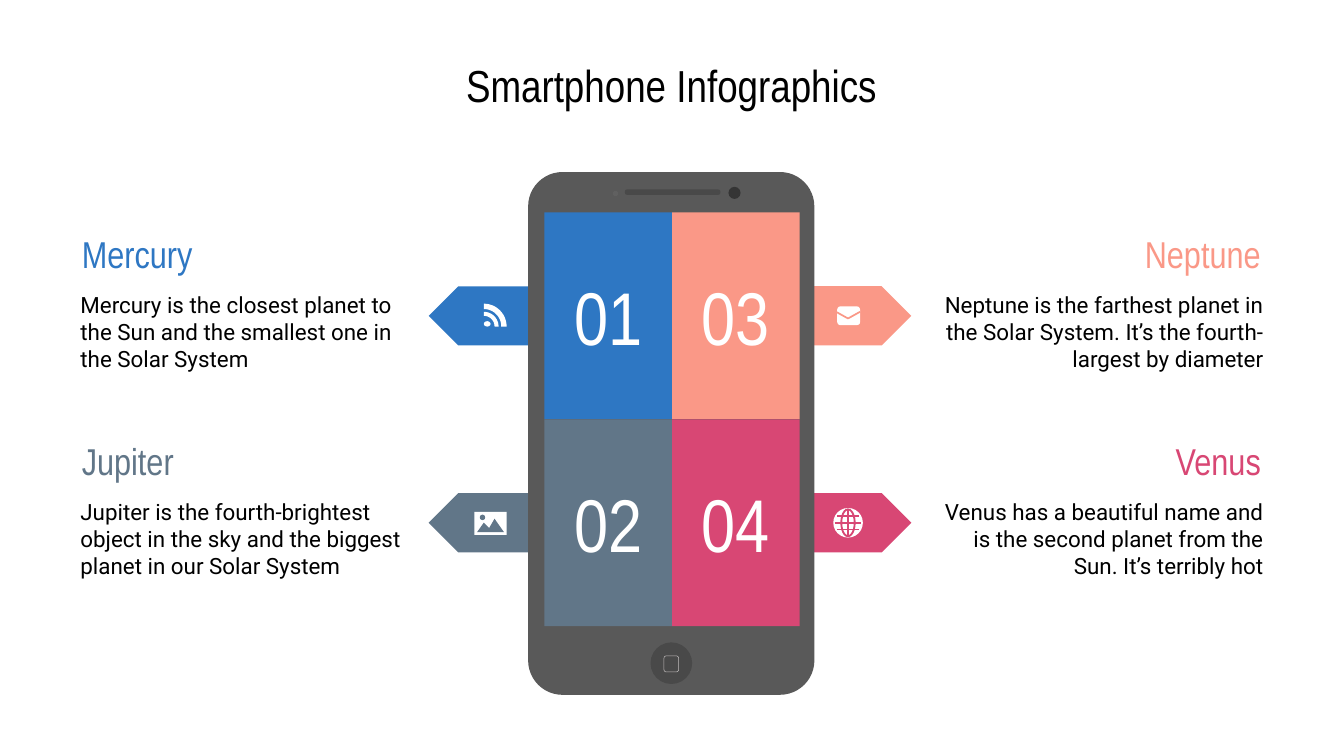
from math import cos, sin, pi
from lxml.etree import SubElement
from pptx import Presentation
from pptx.dml.color import RGBColor
from pptx.enum.shapes import MSO_CONNECTOR as Line, MSO_SHAPE as Form
from pptx.enum.text import MSO_ANCHOR as Anchor, MSO_AUTO_SIZE as Auto, PP_ALIGN as Align
from pptx.oxml.ns import qn
from pptx.util import Inches, Pt

INK = {
    "blue": "2E77C3", "slate": "617688", "peach": "FA9887", "pink": "D84774",
    "white": "FFFFFF", "black": "000000", "case": "595959", "dark": "494949",
    "lens": "353535", "light": "606060", "rim": "C1BDBD",
}
HEAD = "Arial Narrow"
BODY = "Roboto"


def color(name):
    return RGBColor.from_string(INK[name])


def paint(item, fill):
    item.shadow.inherit = False
    item.fill.solid()
    item.fill.fore_color.rgb = color(fill)
    item.line.fill.background()
    return item


def form(slide, kind, x, y, w, h, fill):
    box = [Inches(v) for v in (x, y, w, h)]
    return paint(slide.shapes.add_shape(kind, *box), fill)


def shape(slide, spots, fill):
    spots = [(Inches(x), Inches(y)) for x, y in spots]
    pen = slide.shapes.build_freeform(*spots[0], scale=1.0)
    pen.add_line_segments(spots[1:], close=True)
    return paint(pen.convert_to_shape(), fill)


def stroke(slide, x1, y1, x2, y2, ink, width):
    ends = [Inches(v) for v in (x1, y1, x2, y2)]
    line = slide.shapes.add_connector(Line.STRAIGHT, *ends)
    line.line.color.rgb = color(ink)
    line.line.width = Pt(width)
    SubElement(line._element.spPr, qn("a:effectLst"))


def write(item, text, size, font, ink, align, anchor=Anchor.MIDDLE):
    frame = item.text_frame
    frame.word_wrap = True
    frame.auto_size = Auto.NONE
    frame.vertical_anchor = anchor
    frame.margin_left = frame.margin_right = Inches(0.1)
    frame.margin_top = frame.margin_bottom = Inches(0.1)
    para = frame.paragraphs[0]
    para.alignment = align
    run = para.add_run()
    run.text = text
    run.font.size = Pt(size)
    run.font.name = font
    run.font.color.rgb = color(ink)


def label(slide, x, y, w, h, *style):
    box = [Inches(v) for v in (x, y, w, h)]
    write(slide.shapes.add_textbox(*box), *style)


def feed(slide, x, y, ink):
    left, base = x - 0.05, y + 0.08
    turns = [pi / 2 * n / 12 for n in range(13)]
    for far, near in ((0.17, 0.13), (0.11, 0.08)):
        outer = [(left + far * cos(t), base - far * sin(t)) for t in turns]
        inner = [(left + near * cos(t), base - near * sin(t)) for t in turns]
        shape(slide, outer + inner[::-1], "white")
    form(slide, Form.OVAL, left, base - 0.04, 0.05, 0.04, "white")


def photo(slide, x, y, ink):
    left, top = x - 0.12, y - 0.08
    form(slide, Form.RECTANGLE, left, top, 0.24, 0.17, "white")
    form(slide, Form.OVAL, left + 0.04, top + 0.02, 0.04, 0.04, ink)
    hills = [(0.02, 0.15), (0.07, 0.08), (0.11, 0.12), (0.15, 0.05), (0.22, 0.15)]
    shape(slide, [(left + a, top + b) for a, b in hills], ink)


def mail(slide, x, y, ink):
    form(slide, Form.ROUNDED_RECTANGLE, x - 0.08, y - 0.07, 0.17, 0.14, "white")
    for side in (-0.09, 0.09):
        stroke(slide, x + side, y - 0.03, x, y + 0.02, ink, 0.9)


def globe(slide, x, y, ink):
    form(slide, Form.OVAL, x - 0.11, y - 0.11, 0.22, 0.22, "white")
    ring = form(slide, Form.OVAL, x - 0.05, y - 0.1, 0.1, 0.2, "white")
    ring.line.color.rgb = color(ink)
    ring.line.width = Pt(1)
    stroke(slide, x, y - 0.1, x, y + 0.1, ink, 1)
    for gap, half in ((-0.05, 0.08), (0, 0.1), (0.05, 0.08)):
        stroke(slide, x - half, y + gap, x + half, y + gap, ink, 1)


def panel(slide, x, y, right, head, text, ink, icon):
    tag_x = x if right else x + 2.69
    tag = form(slide, Form.PENTAGON, tag_x, y + 0.2, 0.89, 0.44, ink)
    tag.rotation = 0 if right else 180
    icon(slide, tag_x + (0.42 if right else 0.46), y + 0.42, ink)
    align = Align.RIGHT if right else Align.LEFT
    text_x = x + 0.92 if right else x
    head_x = x + 1.77 if right else x + 0.01
    label(slide, text_x, y + 0.24, 2.69, 0.6, text, 12, BODY, "black", align)
    label(slide, head_x, y, 1.82, 0.22, head, 20, HEAD, ink, align, Anchor.BOTTOM)


def phone(slide, x, y, inks):
    case = form(slide, Form.ROUNDED_RECTANGLE, x, y, 2.13, 3.89, "case")
    case.adjustments[0] = 0.12
    slot = form(slide, Form.ROUNDED_RECTANGLE, x + 0.72, y + 0.13, 0.71, 0.04, "dark")
    slot.adjustments[0] = 0.4
    form(slide, Form.OVAL, x + 0.63, y + 0.14, 0.04, 0.04, "light")
    form(slide, Form.OVAL, x + 1.49, y + 0.11, 0.09, 0.09, "lens")
    form(slide, Form.OVAL, x + 0.91, y + 3.5, 0.31, 0.31, "dark")
    key = form(slide, Form.ROUNDED_RECTANGLE, x + 1.01, y + 3.6, 0.11, 0.12, "dark")
    key.line.color.rgb = color("rim")
    key.line.width = Pt(0.28)
    for n, ink in enumerate(inks):
        col, row = divmod(n, 2)
        tile = form(slide, Form.RECTANGLE, x + 0.12 + 0.95 * col,
                    y + 0.3 + 1.54 * row, 0.95, 1.54, ink)
        write(tile, f"{n + 1:02}", 40, HEAD, "white", Align.CENTER)


def title(slide, x, y, w, h, text):
    item = slide.shapes.title
    item.left, item.top, item.width, item.height = [Inches(v) for v in (x, y, w, h)]
    write(item, text, 24, HEAD, "black", Align.CENTER)


def main():
    deck = Presentation()
    deck.slide_width = Inches(10)
    deck.slide_height = Inches(10 * 9 / 16)
    slide = deck.slides.add_slide(deck.slide_layouts[5])
    title(slide, 2.32, 0.42, 5.35, 0.42, "Smartphone Infographics")
    facts = [
        ("Mercury", "Mercury is the closest planet to the Sun and the smallest one "
         "in the Solar System", "blue", feed),
        ("Jupiter", "Jupiter is the fourth-brightest object in the sky and the "
         "biggest planet in our Solar System", "slate", photo),
        ("Neptune", "Neptune is the farthest planet in the Solar System. It’s the "
         "fourth-largest by diameter", "peach", mail),
        ("Venus", "Venus has a beautiful name and is the second planet from the "
         "Sun. It’s terribly hot", "pink", globe),
    ]
    for n, fact in enumerate(facts):
        right, row = divmod(n, 2)
        panel(slide, 5.89 if right else 0.5, 1.93 + 1.54 * row, right, *fact)
    phone(slide, 3.93, 1.28, [fact[2] for fact in facts])
    deck.save("out.pptx")


if __name__ == "__main__":
    main()
